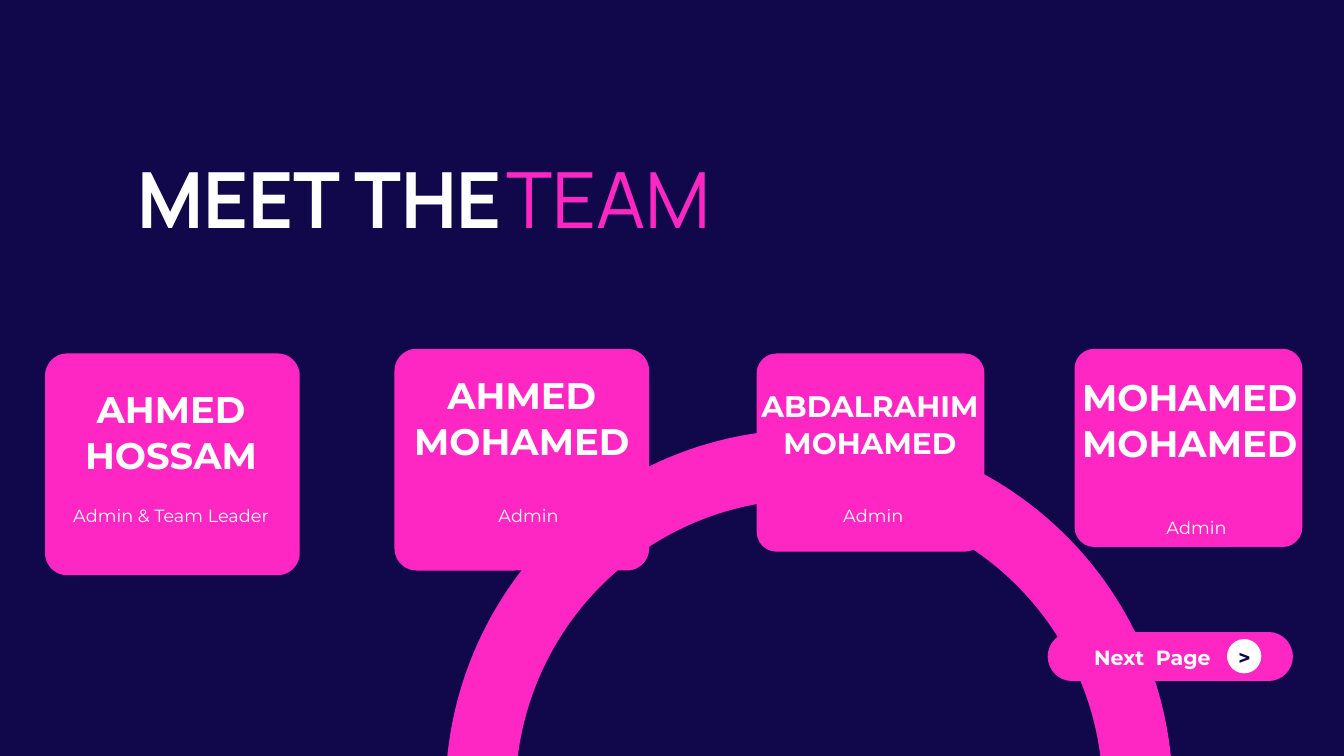
from lxml import etree
from pptx import Presentation
from pptx.dml.color import RGBColor
from pptx.enum import shapes as es, text as et
from pptx.oxml import ns
from pptx.util import Inches, Pt

NAVY = RGBColor(0x11, 0x08, 0x4B)
PINK = RGBColor(0xFF, 0x27, 0xC3)
WHITE = RGBColor(0xFF, 0xFF, 0xFF)
LEFT, MID = et.PP_ALIGN.LEFT, et.PP_ALIGN.CENTER

deck = Presentation()
deck.slide_width, deck.slide_height = Inches(20), Inches(11.25)
slide = deck.slides.add_slide(deck.slide_layouts[5])
slide.background.fill.solid()
slide.background.fill.fore_color.rgb = NAVY


def write(box, words, size, gap, color=WHITE, bold=True, align=MID, face="Montserrat"):
    frame = box.text_frame
    form = dict(word_wrap=True, auto_size=et.MSO_AUTO_SIZE.NONE,
                vertical_anchor=et.MSO_ANCHOR.TOP, margin_left=0,
                margin_right=0, margin_top=0, margin_bottom=0)
    for key, val in form.items():
        setattr(frame, key, val)
    para = frame.paragraphs[0]
    para.alignment, para.line_spacing = align, Pt(gap)
    run = para.add_run()
    run.text = words
    for key, val in dict(name=face, size=Pt(size), bold=bold).items():
        setattr(run.font, key, val)
    run.font.color.rgb = color


def draw(kind, x, y, w, h, fill=None):
    item = slide.shapes.add_shape(kind, Inches(x), Inches(y), Inches(w), Inches(h))
    item.shadow.inherit = False
    if fill is None:
        item.fill.background()
    else:
        item.fill.solid()
        item.fill.fore_color.rgb = fill
        item.line.fill.background()
    return item


title = slide.shapes.title
spot = dict(left=2.04, top=2.36, width=5.45, height=1.37)
for key, val in spot.items():
    setattr(title, key, Inches(val))
write(title, "MEET THE", 83, 91.3, align=LEFT, face="Manrope")
team = slide.shapes.add_textbox(Inches(7.53), Inches(2.36), Inches(4.21), Inches(1.37))
write(team, "TEAM", 83, 91.3, PINK, False, LEFT, "Manrope")

ring = draw(es.MSO_SHAPE.OVAL, 7.15, 6.91, 9.78, 9.78)
ring.line.color.rgb, ring.line.width = PINK, Pt(75)

pill = slide.shapes.add_connector(
    es.MSO_CONNECTOR.STRAIGHT, Inches(15.95), Inches(9.77), Inches(18.88), Inches(9.77))
pill.line.color.rgb, pill.line.width = PINK, Pt(51.75)
pill.line._get_or_add_ln().set("cap", "rnd")
etree.SubElement(pill._element.spPr, ns.qn("a:effectLst"))
draw(es.MSO_SHAPE.OVAL, 18.26, 9.51, 0.51, 0.51, WHITE)
for words, x, w, color, align in [("Next  Page", 16.28, 1.85, WHITE, LEFT),
                                  (">", 18.29, 0.46, NAVY, MID)]:
    box = slide.shapes.add_textbox(Inches(x), Inches(9.54), Inches(w), Inches(0.41))
    write(box, words, 22, 30.8, color, align=align)

BIG, SMALL = (3.79, 3.3), (3.39, 2.95)
cards = [
    (0.67, 5.26, BIG, "AHMED HOSSAM", 0.79, 5.73, 39.6, 49.1, "Admin & Team Leader", 0.65, 7.5),
    (5.87, 5.19, BIG, "AHMED MOHAMED", 6.01, 5.52, 39.6, 49.1, "Admin", 5.97, 7.5),
    (11.26, 5.26, SMALL, "ABDALRAHIM MOHAMED", 11.19, 5.75, 31.8, 39.4, "Admin", 11.1, 7.5),
    (15.99, 5.19, SMALL, "MOHAMED MOHAMED", 15.95, 5.55, 39.6, 49.1, "Admin", 15.91, 7.68),
]
for x, y, (w, h), name, nx, ny, size, gap, role, rx, ry in cards:
    card = draw(es.MSO_SHAPE.ROUNDED_RECTANGLE, x, y, w, h, PINK)
    card.adjustments[0] = 0.1
    box = slide.shapes.add_textbox(Inches(nx), Inches(ny), Inches(3.51), Inches(1.35))
    write(box, name, size, gap)
    box = slide.shapes.add_textbox(Inches(rx), Inches(ry), Inches(3.79), Inches(0.31))
    write(box, role, 18.9, 23.4, bold=False)

deck.save("out.pptx")
